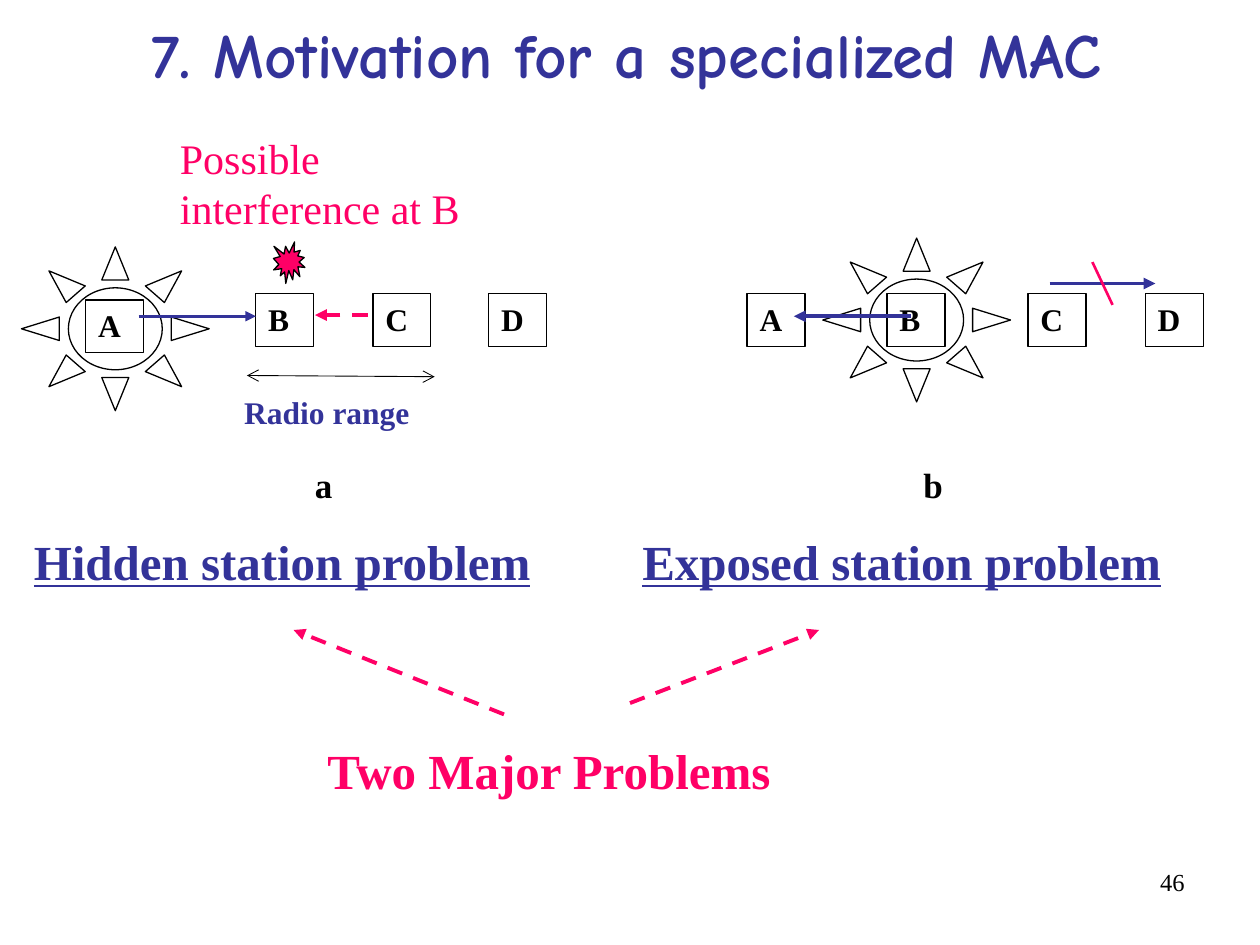
from pptx import Presentation
from pptx.dml.color import RGBColor
from pptx.enum.dml import MSO_LINE
from pptx.enum.shapes import MSO_CONNECTOR, MSO_SHAPE
from pptx.enum.text import MSO_ANCHOR, PP_ALIGN
from pptx.oxml.ns import qn
from pptx.util import Inches, Pt
from lxml import etree

LEFT, MID, RIGHT = PP_ALIGN.LEFT, PP_ALIGN.CENTER, PP_ALIGN.RIGHT
RECT, SUN, SEAL = MSO_SHAPE.RECTANGLE, MSO_SHAPE.SUN, MSO_SHAPE.EXPLOSION1
BLUE, PINK, BLACK, WHITE = "333399", "FF0066", "000000", "FFFFFF"
TIMES = "Times New Roman"
color = RGBColor.from_string


def write(shape, text, size, tint, align=LEFT, **style):
    frame = shape.text_frame
    frame.word_wrap = True
    para = frame.paragraphs[0]
    para.alignment = align
    run = para.add_run()
    run.text = text
    run.font.color.rgb = color(tint)
    for key, val in ({"name": TIMES, "size": Pt(size)} | style).items():
        setattr(run.font, key, val)
    return para


def place(kind, box, fill=None, line=None):
    shape = shapes.add_shape(kind, *map(Inches, box))
    shape.shadow.inherit = False
    shape.text_frame.vertical_anchor = MSO_ANCHOR.TOP
    for part, tint in ((shape.fill, fill), (shape.line.fill, line)):
        if tint:
            part.solid()
            part.fore_color.rgb = color(tint)
        else:
            part.background()
    if line:
        shape.line.width = Pt(0.75)
    return shape


deck = Presentation()
deck.slide_width, deck.slide_height = Inches(10), Inches(7.5)
slide = deck.slides.add_slide(deck.slide_layouts[5])
shapes = slide.shapes

title = shapes.title
spot = {"left": 0.42, "top": 0, "width": 9.25, "height": 0.75}
for key, val in spot.items():
    setattr(title, key, Inches(val))
title.text_frame.vertical_anchor = MSO_ANCHOR.MIDDLE
para = write(title, "7. Motivation for a specialized MAC", 36, BLUE, MID,
             name="Comic Neue", bold=True)
gap = para.add_run()
gap.text = " "
gap.font.name, gap.font.size = TIMES, Pt(44)

nodes = {
    "A": [(0.68, 2.38), (5.93, 2.33)],
    "B": [(2.03, 2.33), (7.04, 2.33)],
    "C": [(2.96, 2.33), (8.16, 2.33)],
    "D": [(3.88, 2.33), (9.09, 2.33)],
}
for name, spots in nodes.items():
    for x, y in spots:
        node = place(RECT, (x, y, 0.46, 0.42), WHITE, BLACK)
        write(node, name, 18, BLACK, bold=True)

for x, y in ((0.17, 1.96), (6.53, 1.89)):
    place(SUN, (x, y, 1.49, 1.3), line=BLACK)

labels = [
    ("Radio range", (1.84, 3.07, 1.67, 0.43), 18, BLUE),
    ("a", (2.4, 3.63, 0.62, 0.5), 20, BLACK),
    ("b", (7.23, 3.63, 0.48, 0.47), 20, BLACK),
]
for text, box, size, tint in labels:
    write(place(RECT, box, WHITE), text, size, tint, bold=True)

bold, under = {"bold": True}, {"bold": True, "underline": True}
notes = [
    ("Hidden station problem", (0.17, 4.17, 4.5, 0.57), 28, BLUE, LEFT, under),
    ("Exposed station problem", (5, 4.17, 4.33, 0.57), 28, BLUE, LEFT, under),
    ("Two Major Problems", (2.5, 5.83, 4, 0.57), 28, PINK, LEFT, bold),
    ("Possible interference at B", (1.33, 1, 2.67, 0.9), 24, PINK, LEFT, {}),
    ("46", (7.17, 6.83, 2.33, 0.52), 14, BLACK, RIGHT, {}),
]
for text, box, size, tint, align, style in notes:
    note = shapes.add_textbox(*map(Inches, box))
    write(note, text, size, tint, align, **style)

tip, both = {"tailEnd": "triangle"}, {"headEnd": "arrow", "tailEnd": "arrow"}
lines = [
    ((1.96, 2.98, 3.45, 2.99), BLACK, 0.5, False, both),
    ((1.1, 2.51, 2.03, 2.51), BLUE, 1.5, False, tip),
    ((7.23, 2.51, 6.3, 2.51), BLUE, 2.25, False, tip),
    ((4, 5.67, 2.33, 5), PINK, 2.25, True, tip),
    ((5, 5.58, 6.5, 5), PINK, 2.25, True, tip),
    ((2.92, 2.5, 2.5, 2.5), PINK, 2.25, True, tip),
    ((8.33, 2.25, 9.17, 2.25), BLUE, 2.25, False, tip),
    ((8.67, 2.08, 8.83, 2.42), PINK, 1.5, False, {}),
]
for ends, tint, width, dash, tips in lines:
    link = shapes.add_connector(MSO_CONNECTOR.STRAIGHT, *map(Inches, ends))
    link.line.color.rgb = color(tint)
    link.line.width = Pt(width)
    if dash:
        link.line.dash_style = MSO_LINE.DASH
    props = link.line._get_or_add_ln()
    for end, kind in tips.items():
        etree.SubElement(props, qn("a:" + end), type=kind)
    etree.SubElement(link._element.spPr, qn("a:effectLst"))

place(SEAL, (2.17, 1.92, 0.25, 0.33), PINK, BLACK)

deck.save("out.pptx")
